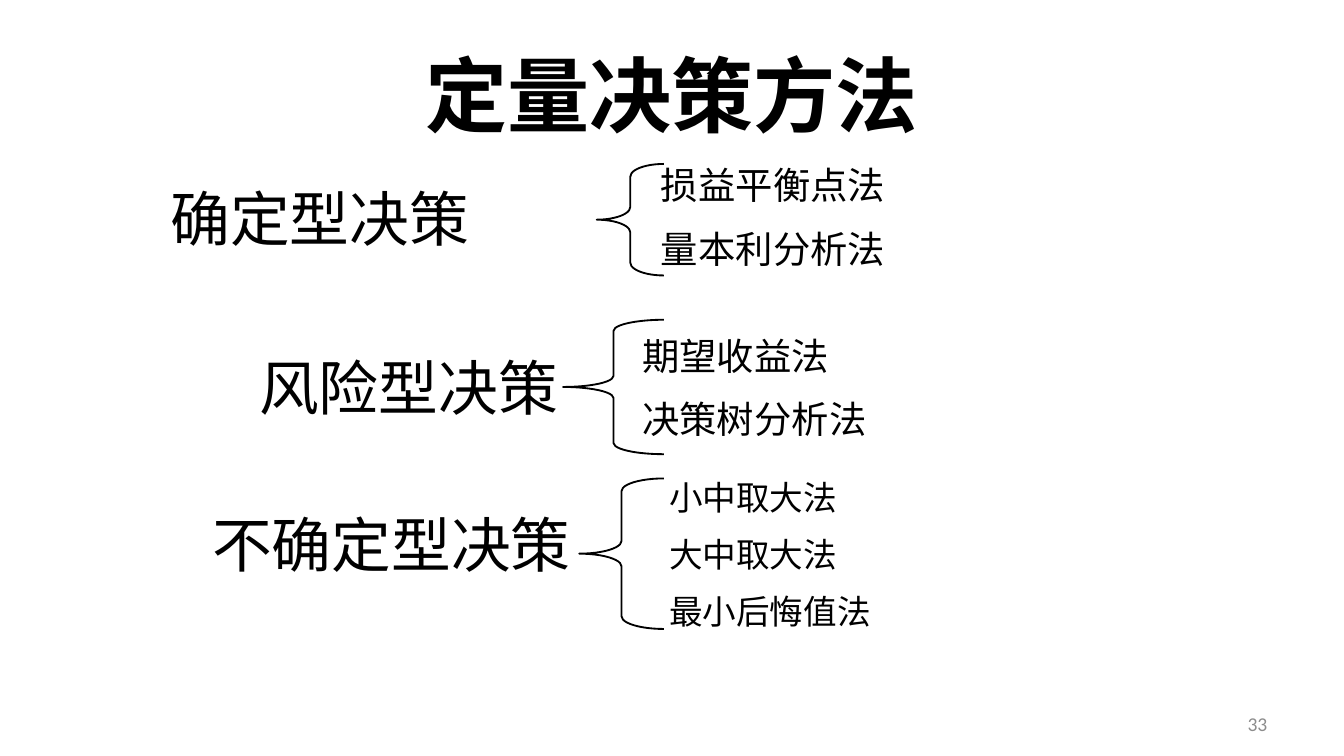
from dataclasses import dataclass

from lxml.etree import SubElement
from pptx import Presentation
from pptx.dml.color import RGBColor
from pptx.enum.shapes import MSO_SHAPE
from pptx.enum.text import MSO_ANCHOR, PP_ALIGN
from pptx.oxml.ns import qn
from pptx.util import Inches, Pt


@dataclass(frozen=True)
class Theme:
    ink: RGBColor = RGBColor(0, 0, 0)
    gray: RGBColor = RGBColor(0x8C, 0x8C, 0x8C)
    font: str = "Noto Sans CJK SC"
    latin: str = "Calibri"
    title: float = 44
    label: float = 32
    number: float = 10.5
    gap: float = 0.5  # space between methods, as a share of type size


THEME = Theme()
TITLE = "定量决策方法"
NUMBER = "33"
BRACE_END = 4.94
WIDE, TIGHT = (0.1, 0.05), (0.07, 0.04)  # side and top insets

# Boxes are left, top, width, height; braces are left, top, height, curve.
GROUPS = [
    {"label": "确定型决策", "box": (1.17, 1.3, 2.54, 0.64),
     "brace": (4.44, 1.22, 0.83, 0.19),
     "methods": ["损益平衡点法", "量本利分析法"],
     "list": (4.82, 1.16, 2.44, 0.94), "size": 20},
    {"label": "风险型决策", "box": (1.83, 2.56, 2.54, 0.64),
     "brace": (4.19, 2.38, 1, 0.11),
     "methods": ["期望收益法", "决策树分析法"],
     "list": (4.68, 2.43, 2.27, 0.94), "size": 20},
    {"label": "不确定型决策", "box": (1.48, 3.73, 2.89, 0.64),
     "brace": (4.31, 3.56, 1.12, 0.15),
     "methods": ["小中取大法", "大中取大法", "最小后悔值法"],
     "list": (4.88, 3.5, 1.88, 1.31), "size": 18},
]


def add_text(slide, box, lines, size, align=PP_ALIGN.LEFT, anchor=MSO_ANCHOR.TOP,
             inset=WIDE, color=THEME.ink, face=THEME.font, bold=False):
    frame = slide.shapes.add_textbox(*map(Inches, box)).text_frame
    frame.word_wrap = True
    frame.vertical_anchor = anchor
    frame.margin_left = frame.margin_right = Inches(inset[0])
    frame.margin_top = frame.margin_bottom = Inches(inset[1])
    for i, line in enumerate(lines):
        para = frame.paragraphs[0] if i == 0 else frame.add_paragraph()
        para.alignment = align
        if i:
            para.space_before = Pt(size * THEME.gap)
        run = para.add_run()
        run.text = line
        font = run.font
        font.size, font.bold, font.name = Pt(size), bold, face
        font.color.rgb = color
        SubElement(run._r.get_or_add_rPr(), qn("a:ea")).set("typeface", face)


def add_brace(slide, left, top, height, curve):
    brace = slide.shapes.add_shape(
        MSO_SHAPE.LEFT_BRACE,
        *map(Inches, (left, top, BRACE_END - left, height)))
    brace.adjustments[0] = curve
    brace.shadow.inherit = False
    brace.fill.background()
    brace.line.color.rgb = THEME.ink
    brace.line.width = Pt(1)


def main():
    deck = Presentation()
    deck.slide_width = Inches(10)
    deck.slide_height = deck.slide_width * 9 // 16
    slide = deck.slides.add_slide(deck.slide_layouts[6])

    add_text(slide, (0.5, 0.23, 9, 0.94), [TITLE], THEME.title,
             PP_ALIGN.CENTER, MSO_ANCHOR.MIDDLE, TIGHT, bold=True)
    for group in GROUPS:
        add_text(slide, group["box"], [group["label"]], THEME.label)
        add_brace(slide, *group["brace"])
        add_text(slide, group["list"], group["methods"], group["size"])
    add_text(slide, (7.17, 5.21, 2.33, 0.3), [NUMBER], THEME.number,
             PP_ALIGN.RIGHT, MSO_ANCHOR.BOTTOM, TIGHT, THEME.gray, THEME.latin)
    deck.save("out.pptx")


if __name__ == "__main__":
    main()
